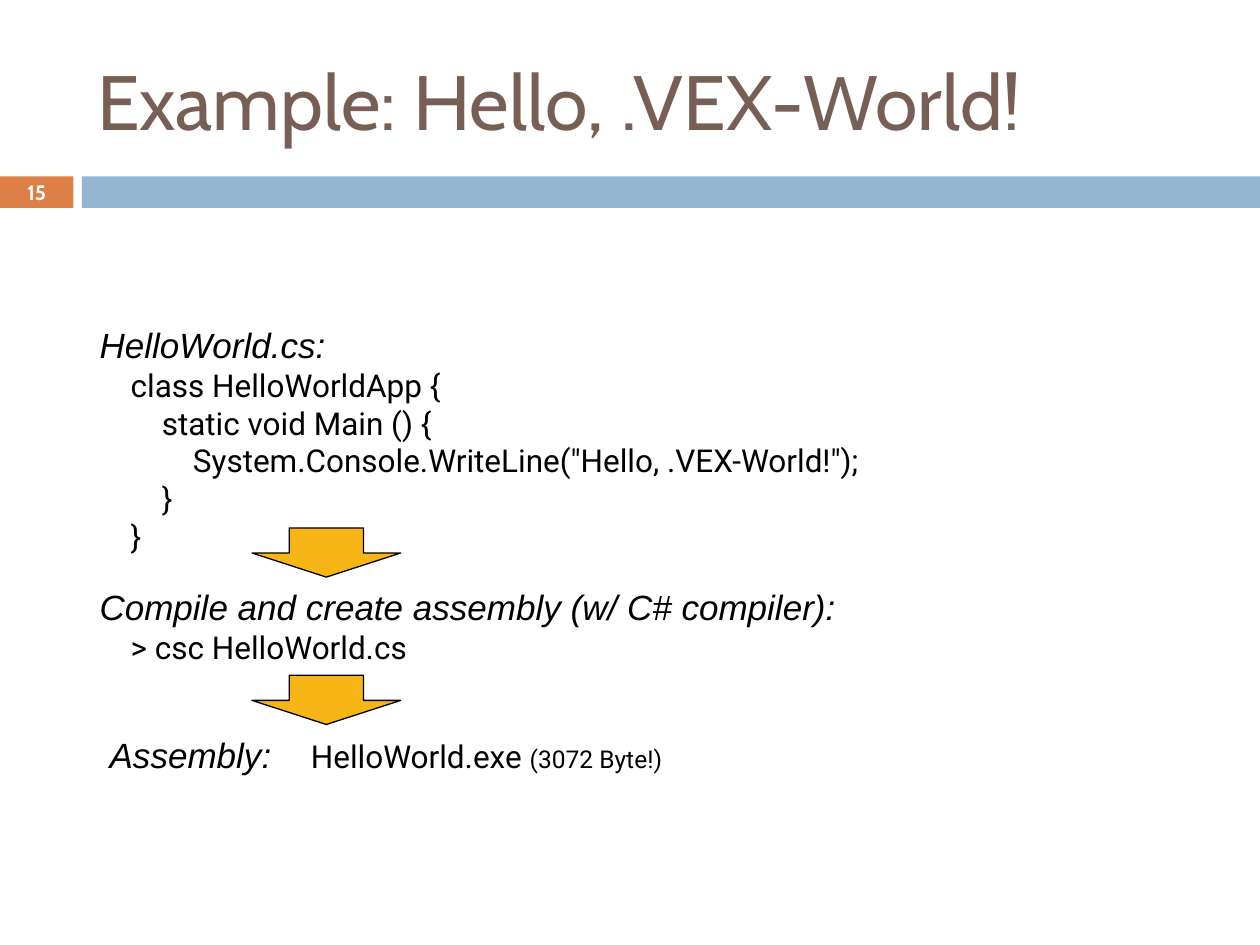
from dataclasses import dataclass

from lxml.etree import SubElement
from pptx import Presentation
from pptx.dml.color import RGBColor as RGB
from pptx.enum.shapes import MSO_SHAPE as SHAPE
from pptx.enum.text import MSO_ANCHOR as ANCHOR, MSO_AUTO_SIZE as AUTO_SIZE, PP_ALIGN as ALIGN
from pptx.oxml.ns import qn
from pptx.util import Pt


@dataclass(frozen=True)
class Theme:
    title: RGB = RGB(0x77, 0x5F, 0x55)
    accent: RGB = RGB(0xDD, 0x80, 0x47)
    band: RGB = RGB(0x94, 0xB6, 0xD2)
    arrow: RGB = RGB(0xF7, 0xB6, 0x15)
    ink: RGB = RGB(0, 0, 0)
    paper: RGB = RGB(0xFF, 0xFF, 0xFF)
    title_size: float = 44
    heading_size: float = 20
    code_size: float = 18
    note_size: float = 14
    number_size: float = 11.9


theme = Theme()
INDENT = 17.8


def style(run, font, size, color, bold=False, italic=False):
    run.font.name, run.font.size = font, Pt(size)
    run.font.color.rgb = color
    run.font.bold, run.font.italic = bold, italic


def add_text_frame(left, top, width, height, inset):
    frame = slide.shapes.add_textbox(Pt(left), Pt(top), Pt(width), Pt(height)).text_frame
    frame.word_wrap = True
    frame.margin_left = frame.margin_right = Pt(inset)
    frame.margin_top = frame.margin_bottom = Pt(inset)
    return frame


deck = Presentation()
deck.slide_width, deck.slide_height = Pt(720), Pt(540)
slide = deck.slides.add_slide(deck.slide_layouts[5])

# Header band and slide number
for left, width, color in [(0, 42, theme.accent), (46.8, 673.2, theme.band)]:
    bar = slide.shapes.add_shape(SHAPE.RECTANGLE, Pt(left), Pt(100.8), Pt(width), Pt(18))
    bar.shadow.inherit = False
    bar.fill.solid()
    bar.fill.fore_color.rgb = color
    bar.line.fill.background()

number = add_text_frame(0, 100.08, 42, 19.44, 0)
number.vertical_anchor = ANCHOR.MIDDLE
number.text = "15"
number.paragraphs[0].alignment = ALIGN.CENTER
style(number.paragraphs[0].runs[0], "Cabin", theme.number_size, theme.paper, bold=True)

title = slide.shapes.title
title.left, title.top, title.width, title.height = Pt(48.24), Pt(18), Pt(642.24), Pt(77.76)
title.text_frame.text = "Example: Hello, .VEX-World!"
title.text_frame.auto_size = AUTO_SIZE.NONE
title.text_frame.vertical_anchor = ANCHOR.MIDDLE
title.text_frame.paragraphs[0].alignment = ALIGN.LEFT
style(title.text_frame.paragraphs[0].runs[0], "Cabin", theme.title_size, theme.title)

# Source file and compile step: a heading, then code lines with their indent level
steps = [
    (182.16, 137.52, "HelloWorld.cs:", [
        (1, "class HelloWorldApp {"),
        (2, "static void Main () {"),
        (3, 'System.Console.WriteLine("Hello, .VEX-World!");'),
        (2, "}"),
        (1, "}"),
    ]),
    (331.92, 51.12, "Compile and create assembly (w/ C# compiler):", [
        (1, "> csc HelloWorld.cs"),
    ]),
]
for top, height, heading, code in steps:
    frame = add_text_frame(54, top, 612, height, 2.88)
    frame.text = heading
    style(frame.paragraphs[0].runs[0], "Arial", theme.heading_size, theme.ink, italic=True)
    for level, code_line in code:
        paragraph = frame.add_paragraph()
        paragraph.text = code_line
        paragraph._p.get_or_add_pPr().set("marL", str(Pt(level * INDENT)))
        style(paragraph.runs[0], "Roboto", theme.code_size, theme.ink)

# Arrows between the steps
for top in (301.68, 385.92):
    arrow = slide.shapes.add_shape(SHAPE.DOWN_ARROW, Pt(144), Pt(top), Pt(84.96), Pt(28.08))
    arrow.adjustments[0], arrow.adjustments[1] = 0.5, 0.49
    arrow.shadow.inherit = False
    arrow.fill.solid()
    arrow.fill.fore_color.rgb = theme.arrow
    arrow.line.color.rgb = theme.ink
    arrow.line.width = Pt(0.75)

# Resulting assembly, with a tab stop before the file name
assembly = add_text_frame(59.76, 416.16, 396.72, 29.52, 2.88).paragraphs[0]
tab_stops = SubElement(assembly._p.get_or_add_pPr(), qn("a:tabLst"))
SubElement(tab_stops, qn("a:tab"), pos=str(Pt(115)), algn="l")
for words, font, size, italic in [
    ("Assembly:\t", "Arial", theme.heading_size, True),
    ("HelloWorld.exe ", "Roboto", theme.code_size, False),
    ("(3072 Byte!)", "Roboto", theme.note_size, False),
]:
    run = assembly.add_run()
    run.text = words
    style(run, font, size, theme.ink, italic=italic)

deck.save("out.pptx")
